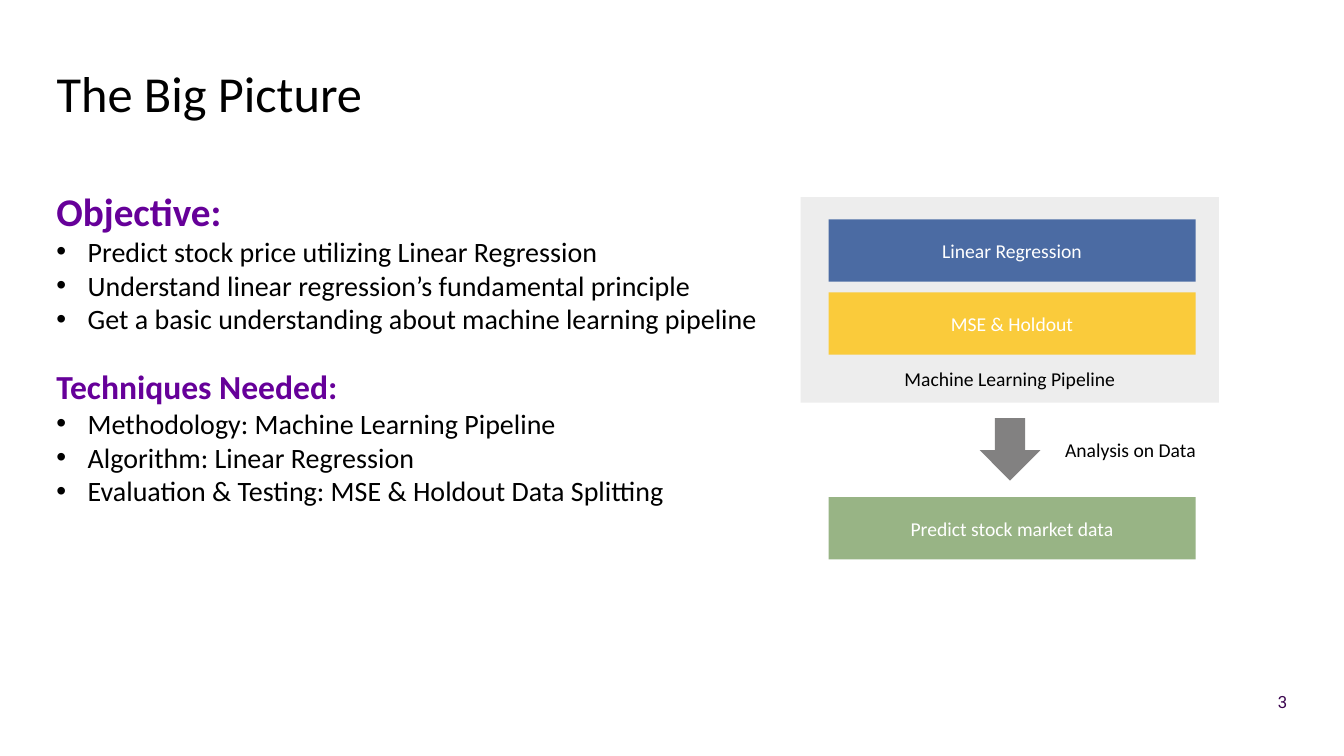
from lxml.etree import SubElement
from pptx import Presentation
from pptx.dml.color import RGBColor
from pptx.enum.shapes import MSO_SHAPE as Preset
from pptx.enum.text import MSO_ANCHOR as Anchor, PP_ALIGN as Align
from pptx.oxml.ns import qn
from pptx.util import Cm, Pt

COLORS = {
    "black": "000000", "white": "FFFFFF", "heading": "660099", "number": "3B054F",
    "panel": "D8D8D8", "regression": "2F5597", "holdout": "FFC000",
    "prediction": "548235", "arrow": "3A3838",
}


def style(paragraph, size, color, align=Align.LEFT, bold=False, face="Calibri"):
    paragraph.alignment = align
    font = paragraph.font
    font.name, font.size, font.bold = face, Pt(size), bold
    font.color.rgb = RGBColor.from_string(COLORS[color])


def add_block(preset, left, top, width, height, color, opacity):
    block = slide.shapes.add_shape(preset, Cm(left), Cm(top), Cm(width), Cm(height))
    block.shadow.inherit = False
    block.line.fill.background()
    block.fill.solid()
    block.fill.fore_color.rgb = RGBColor.from_string(COLORS[color])
    tint = block.fill._xPr.find(qn("a:solidFill"))[0]
    SubElement(tint, qn("a:alpha"), val=str(opacity * 1000))
    return block


prs = Presentation()
prs.slide_width, prs.slide_height = Cm(33.87), Cm(19.05)
slide = prs.slides.add_slide(prs.slide_layouts[5])

title = slide.shapes.title
title.left, title.top, title.width, title.height = Cm(1.17), Cm(1.42), Cm(31.52), Cm(2)
title.text_frame.text = "The Big Picture"
title.text_frame.vertical_anchor = Anchor.MIDDLE
title.text_frame.paragraphs[0].line_spacing = 0.9
style(title.text_frame.paragraphs[0], 36, "black")

sections = [
    ("Objective:", 28, 0, [
        "Predict stock price utilizing Linear Regression",
        "Understand linear regression’s fundamental principle",
        "Get a basic understanding about machine learning pipeline",
    ]),
    ("Techniques Needed:", 24, 22, [
        "Methodology: Machine Learning Pipeline",
        "Algorithm: Linear Regression",
        "Evaluation & Testing: MSE & Holdout Data Splitting",
    ]),
]
outline = slide.shapes.add_textbox(Cm(1.17), Cm(4.6), Cm(18.87), Cm(9.25)).text_frame
outline.word_wrap = True
heading = outline.paragraphs[0]
for name, size, gap, points in sections:
    if heading.text:
        heading = outline.add_paragraph()
    heading.text = name
    heading.space_before = Pt(gap)
    style(heading, size, "heading", bold=True)
    for point in points:
        item = outline.add_paragraph()
        item.text = point
        style(item, 20, "black")
        props = item._p.get_or_add_pPr()
        props.set("marL", str(Cm(0.79)))
        props.set("indent", str(-Cm(0.79)))
        bullet_font = props.makeelement(qn("a:buFont"), {"typeface": "Arial"})
        bullet = props.makeelement(qn("a:buChar"), {"char": "•"})
        props.find(qn("a:defRPr")).addprevious(bullet_font)
        bullet_font.addnext(bullet)

pipeline = add_block(Preset.RECTANGLE, 20.18, 4.97, 10.54, 5.18, "panel", 46)
pipeline.text_frame.text = "Machine Learning Pipeline"
pipeline.text_frame.vertical_anchor = Anchor.BOTTOM
pipeline.text_frame.margin_bottom = Cm(0.3)
style(pipeline.text_frame.paragraphs[0], 14, "black", Align.CENTER)

steps = [
    ("Linear Regression", 5.53, "regression", 85),
    ("MSE & Holdout", 7.37, "holdout", 75),
    ("Predict stock market data", 12.53, "prediction", 60),
]
for label, top, color, opacity in steps:
    step = add_block(Preset.RECTANGLE, 20.88, top, 9.25, 1.57, color, opacity)
    step.text_frame.text = label
    step.text_frame.vertical_anchor = Anchor.MIDDLE
    style(step.text_frame.paragraphs[0], 14, "white", Align.CENTER)

add_block(Preset.DOWN_ARROW, 24.69, 10.54, 1.53, 1.57, "arrow", 63)

analysis = slide.shapes.add_textbox(Cm(26.24), Cm(10.9), Cm(4.5), Cm(0.86)).text_frame
analysis.word_wrap = True
analysis.text = "Analysis on Data"
style(analysis.paragraphs[0], 14, "black", Align.CENTER)

page = slide.shapes.add_textbox(Cm(31.55), Cm(17.17), Cm(1.14), Cm(1.02)).text_frame
page.word_wrap = True
page.vertical_anchor = Anchor.MIDDLE
page.text = "3"
style(page.paragraphs[0], 12, "number", Align.RIGHT, face="Roboto")

prs.save("out.pptx")
